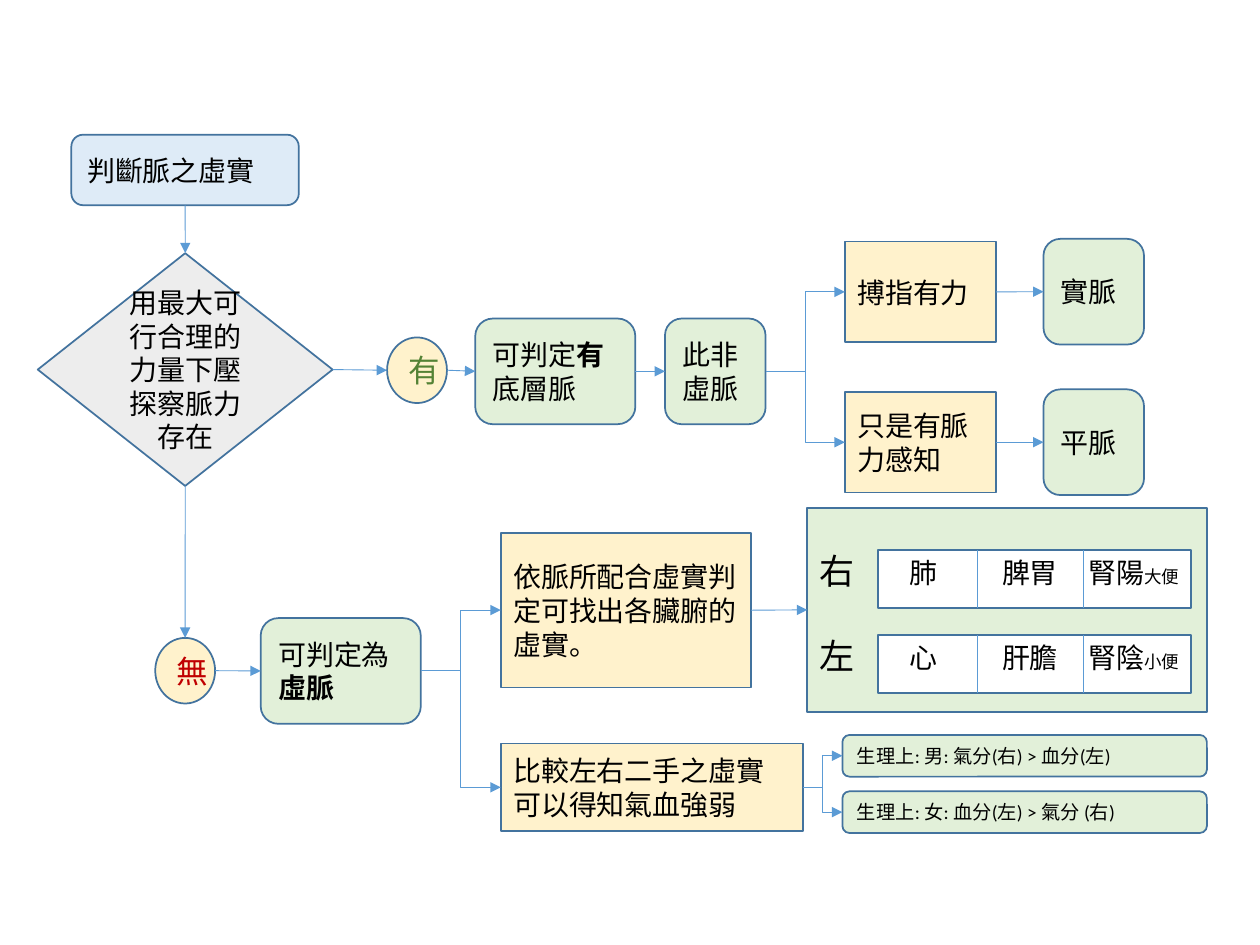
from dataclasses import dataclass

from lxml import etree
from pptx import Presentation
from pptx.dml.color import RGBColor
from pptx.enum.shapes import MSO_CONNECTOR as Link, MSO_SHAPE as Kind
from pptx.enum.text import MSO_ANCHOR, PP_ALIGN
from pptx.oxml.ns import qn
from pptx.shapes.autoshape import Shape
from pptx.shapes.shapetree import SlideShapes
from pptx.text.text import TextFrame
from pptx.util import Pt

FONT = "Calibri"
BLACK = RGBColor(0x00, 0x00, 0x00)
WHITE = RGBColor(0xFF, 0xFF, 0xFF)
GREEN = RGBColor(0xE2, 0xF0, 0xD9)
YELLOW = RGBColor(0xFF, 0xF2, 0xCC)
GREY = RGBColor(0xED, 0xED, 0xED)
BLUE = RGBColor(0xDE, 0xEB, 0xF7)
OUTLINE = RGBColor(0x43, 0x73, 0x9E)
ARROW = RGBColor(0x5B, 0x9B, 0xD5)
YES = RGBColor(0x54, 0x82, 0x35)
NO = RGBColor(0xC0, 0x00, 0x00)


@dataclass(frozen=True)
class Span:
    text: str
    bold: bool | None = None
    size: float | None = None


@dataclass(frozen=True)
class Node:
    left: float
    top: float
    width: float
    height: float
    kind: Kind
    fill: RGBColor
    spans: tuple[Span, ...] = ()
    size: float = 16
    color: RGBColor = BLACK
    align: PP_ALIGN = PP_ALIGN.LEFT

    @property
    def center(self) -> float:
        return self.left + self.width / 2

    @property
    def middle(self) -> float:
        return self.top + self.height / 2

    @property
    def right(self) -> float:
        return self.left + self.width

    @property
    def bottom(self) -> float:
        return self.top + self.height


@dataclass(frozen=True)
class PulseRow:
    top: float
    side: str
    organs: tuple[tuple[Span, ...], ...]


def answer(left: float, top: float, text: str, color: RGBColor) -> Node:
    return Node(left, top, 34.2, 37.5, Kind.OVAL, YELLOW, (Span(text),), 18, color, PP_ALIGN.CENTER)


def finding(left: float, top: float, width: float, *spans: Span) -> Node:
    return Node(left, top, width, 60.4, Kind.ROUNDED_RECTANGLE, GREEN, spans)


def step(left: float, top: float, width: float, height: float, text: str) -> Node:
    return Node(left, top, width, height, Kind.RECTANGLE, YELLOW, (Span(text),))


def physiology(top: float, text: str) -> Node:
    return Node(481.4, top, 208.3, 23.8, Kind.ROUNDED_RECTANGLE, GREEN, (Span(text),), 11)


START = Node(40.8, 77, 130, 40.3, Kind.ROUNDED_RECTANGLE, BLUE, (Span("判斷脈之虛實"),))
PRESS = Node(21.6, 144.7, 168.5, 133, Kind.DIAMOND, GREY,
             (Span("用最大可行合理的力量下壓探察脈力存在"),), align=PP_ALIGN.CENTER)
PRESENT = answer(221.2, 192.8, "有", YES)
ABSENT = answer(88.7, 364.5, "無", NO)
BOTTOM_PULSE = finding(271.6, 182, 91.5, Span("可判定"), Span("有", True), Span("底層脈"))
NOT_DEFICIENT = finding(380, 182, 57.5, Span("此非虛脈"))
STRONG = step(482.8, 138, 86.4, 57.6, "搏指有力")
PERCEIVED = step(482.8, 223.9, 86.4, 57.6, "只是有脈力感知")
FULL_PULSE = finding(596.3, 136.5, 57.5, Span("實脈"))
CALM_PULSE = finding(596.3, 222.5, 57.5, Span("平脈"))
DEFICIENT = finding(149, 353.2, 91.5, Span("可判定為"), Span("虛脈", True))
ORGANS = step(286.2, 304.5, 143, 88.4, "依脈所配合虛實判定可找出各臟腑的虛實。")
QI_BLOOD = step(286.2, 424.8, 172.8, 50.2, "比較左右二手之虛實可以得知氣血強弱")
MALE = physiology(420, "生理上: 男: 氣分(右) > 血分(左)")
FEMALE = physiology(452.2, "生理上: 女: 血分(左) > 氣分 (右)")
WRISTS = Node(461.3, 290.2, 228.4, 116.6, Kind.RECTANGLE, GREEN)

NODES = (START, PRESS, PRESENT, ABSENT, BOTTOM_PULSE, NOT_DEFICIENT, STRONG, PERCEIVED,
         FULL_PULSE, CALM_PULSE, DEFICIENT, ORGANS, QI_BLOOD, MALE, FEMALE, WRISTS)
DOWNWARD = ((START, PRESS), (PRESS, ABSENT))
ACROSS = ((PRESS, PRESENT), (PRESENT, BOTTOM_PULSE), (BOTTOM_PULSE, NOT_DEFICIENT),
          (STRONG, FULL_PULSE), (PERCEIVED, CALM_PULSE), (ABSENT, DEFICIENT), (ORGANS, WRISTS))
BRANCHES = ((NOT_DEFICIENT, (STRONG, PERCEIVED)), (DEFICIENT, (ORGANS, QI_BLOOD)),
            (QI_BLOOD, (MALE, FEMALE)))

PULSE_ROWS = (
    PulseRow(314.3, "右", ((Span("肺"),), (Span("脾胃"),), (Span("腎陽"), Span("大便", size=10)))),
    PulseRow(362.9, "左", ((Span("心"),), (Span("肝膽"),), (Span("腎陰"), Span("小便", size=10)))),
)
ROW_HEIGHT = 33.2
DIVIDERS = (558.7, 619.2)
ORGAN_SLOTS = ((512.6, 34), (565.5, 51), (614.9, 73.4))


def write(frame: TextFrame, spans: tuple[Span, ...], size: float,
          color: RGBColor = BLACK, align: PP_ALIGN = PP_ALIGN.LEFT) -> None:
    paragraph = frame.paragraphs[0]
    paragraph.alignment = align
    paragraph.font.name = FONT
    paragraph.font.size = Pt(size)
    paragraph.font.color.rgb = color
    for span in spans:
        run = paragraph.add_run()
        run.text = span.text
        # Runs do not inherit the paragraph font in every viewer.
        run.font.name = FONT
        run.font.size = Pt(span.size or size)
        run.font.color.rgb = color
        run.font.bold = span.bold


def draw_node(shapes: SlideShapes, node: Node) -> Shape:
    shape = shapes.add_shape(node.kind, Pt(node.left), Pt(node.top), Pt(node.width), Pt(node.height))
    shape.shadow.inherit = False
    shape.fill.solid()
    shape.fill.fore_color.rgb = node.fill
    shape.line.color.rgb = OUTLINE
    shape.line.width = Pt(1)
    if node.spans:
        shape.text_frame.word_wrap = True
        shape.text_frame.vertical_anchor = MSO_ANCHOR.MIDDLE
        write(shape.text_frame, node.spans, node.size, node.color, node.align)
    return shape


def draw_line(shapes: SlideShapes, begin: tuple[float, float], end: tuple[float, float],
              kind: Link = Link.STRAIGHT, arrow: bool = True) -> None:
    line = shapes.add_connector(kind, *map(Pt, begin + end))
    line.line.color.rgb = ARROW
    line.line.width = Pt(0.5)
    if arrow:
        etree.SubElement(line.line._get_or_add_ln(), qn("a:tailEnd"), type="triangle")
    etree.SubElement(line._element.spPr, qn("a:effectLst"))


def draw_label(shapes: SlideShapes, left: float, top: float, width: float, height: float,
               spans: tuple[Span, ...], size: float) -> None:
    label = shapes.add_textbox(Pt(left), Pt(top), Pt(width), Pt(height))
    label.text_frame.word_wrap = False
    write(label.text_frame, spans, size)


def draw_pulse_row(shapes: SlideShapes, row: PulseRow) -> None:
    draw_node(shapes, Node(501.8, row.top, 179, ROW_HEIGHT, Kind.RECTANGLE, WHITE))
    draw_label(shapes, WRISTS.left, row.top - 4, 38, 29.5, (Span(row.side),), 20)
    for x in DIVIDERS:
        draw_line(shapes, (x, row.top), (x, row.top + ROW_HEIGHT), arrow=False)
    for (left, width), organ in zip(ORGAN_SLOTS, row.organs):
        draw_label(shapes, left, row.top - 0.5, width, 25.2, organ, 16)


def main() -> None:
    deck = Presentation()
    deck.slide_width, deck.slide_height = Pt(720), Pt(540)
    shapes = deck.slides.add_slide(deck.slide_layouts[6]).shapes
    for node in NODES:
        draw_node(shapes, node)
    for upper, lower in DOWNWARD:
        draw_line(shapes, (upper.center, upper.bottom), (lower.center, lower.top))
    for source, target in ACROSS:
        draw_line(shapes, (source.right, source.middle), (target.left, target.middle))
    for source, targets in BRANCHES:
        for target in targets:
            draw_line(shapes, (source.right, source.middle), (target.left, target.middle), Link.ELBOW)
    for row in PULSE_ROWS:
        draw_pulse_row(shapes, row)
    deck.save("out.pptx")


if __name__ == "__main__":
    main()
